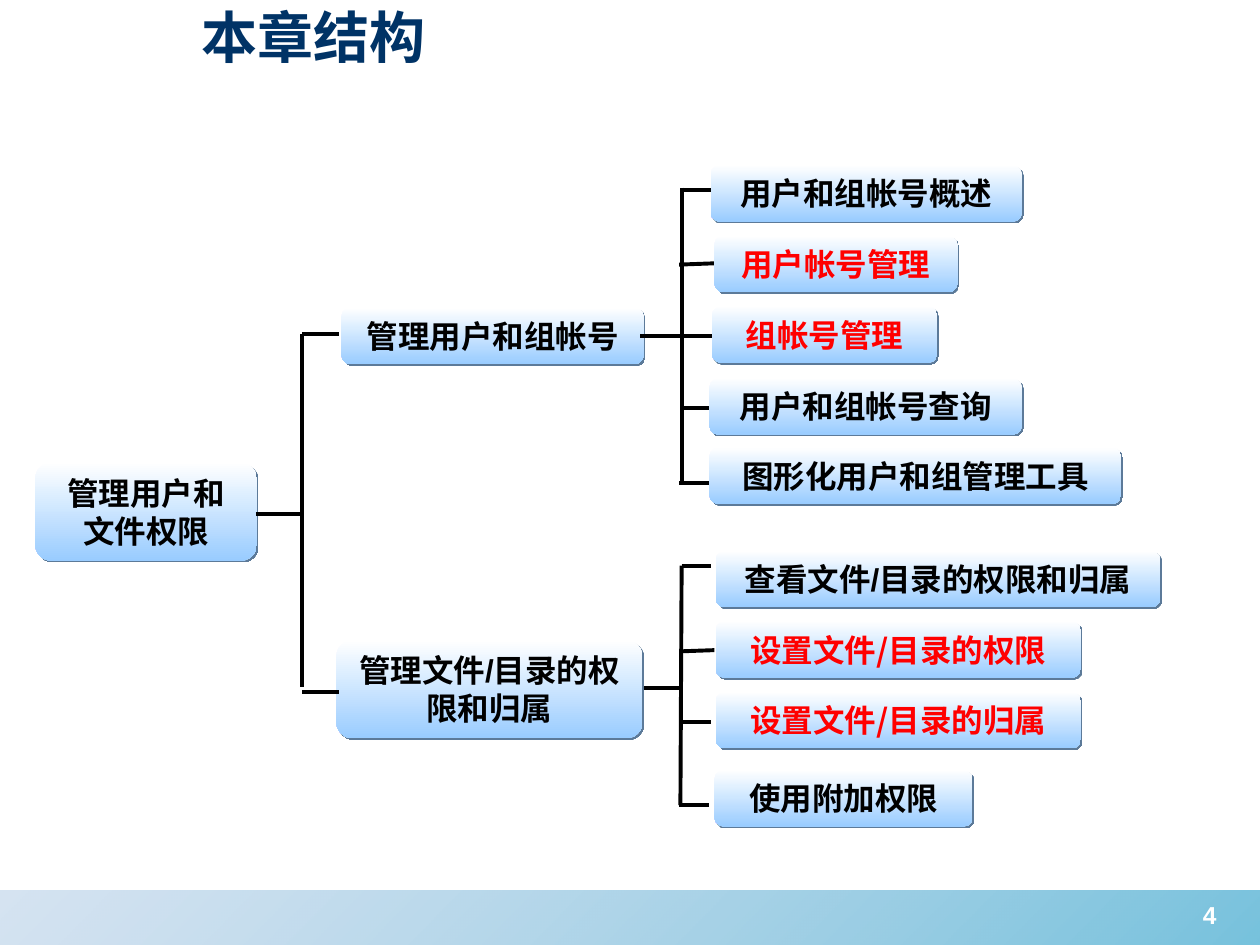
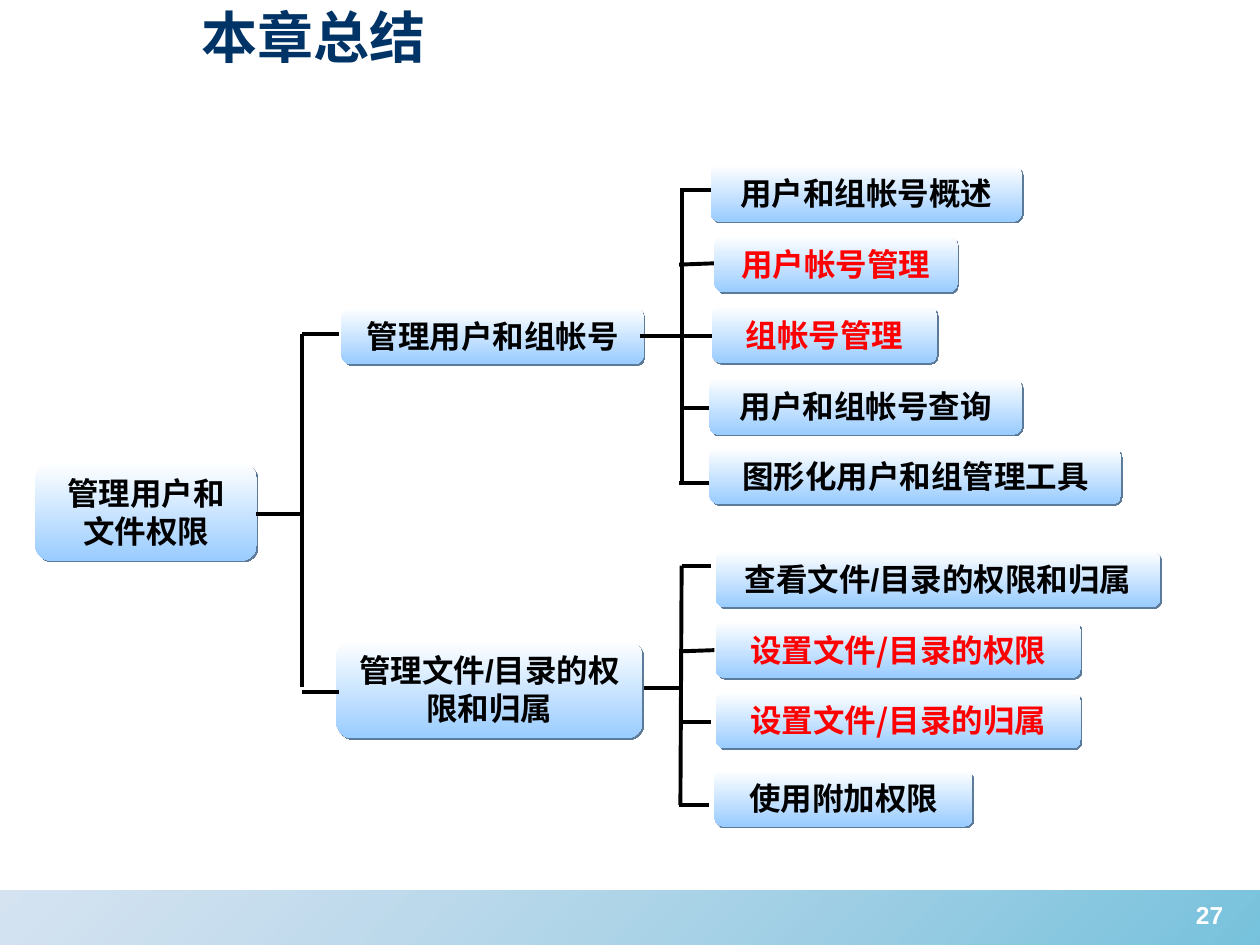
"""Build the chapter structure and chapter summary slides, which share one tree diagram."""
from dataclasses import dataclass

from lxml import etree
from pptx import Presentation
from pptx.dml.color import RGBColor
from pptx.enum.shapes import MSO_CONNECTOR, MSO_SHAPE
from pptx.enum.text import MSO_ANCHOR, MSO_AUTO_SIZE, PP_ALIGN
from pptx.oxml.ns import qn
from pptx.util import Inches, Pt

RECT, ROUNDED = MSO_SHAPE.RECTANGLE, MSO_SHAPE.ROUNDED_RECTANGLE
STRAIGHT = MSO_CONNECTOR.STRAIGHT
LEFT, CENTER = PP_ALIGN.LEFT, PP_ALIGN.CENTER
MIDDLE = MSO_ANCHOR.MIDDLE
GROW = MSO_AUTO_SIZE.SHAPE_TO_FIT_TEXT

COLORS = {
    "title": "003366", "text": "000000", "key": "FF0000", "page": "FFFFFF",
    "line": "000000", "shadow": "5C7A99",
    "box_top": "FFFFFF", "box_bottom": "99CCFF",
    "band_start": "88B0D8", "band_end": "1C99C6",
}
LATIN, CJK = "Arial", "Noto Sans CJK SC"
ONE_LINE, TWO_LINES = 0.45, 0.78


@dataclass(frozen=True)
class Node:
    text: str
    x: float
    y: float
    w: float
    h: float = ONE_LINE
    color: str = "text"
    font: str = LATIN


@dataclass(frozen=True)
class Link:
    x1: float
    y1: float
    x2: float
    y2: float


BRANCHES = [
    Node("管理用户和文件权限", 0.28, 3.67, 1.76, TWO_LINES),
    Node("管理用户和组帐号", 2.71, 2.44, 2.4),
    Node("管理文件/目录的权限和归属", 2.67, 5.08, 2.43, TWO_LINES),
]
LEAVES = [
    Node("用户和组帐号概述", 5.64, 1.31, 2.47),
    Node("用户帐号管理", 5.67, 1.87, 1.93, color="key"),
    Node("组帐号管理", 5.65, 2.43, 1.79, color="key"),
    Node("用户和组帐号查询", 5.63, 3, 2.48),
    Node("图形化用户和组管理工具", 5.63, 3.55, 3.27),
    Node("查看文件/目录的权限和归属", 5.68, 4.37, 3.53),
    Node("设置文件/目录的权限", 5.68, 4.93, 2.9, color="key", font=CJK),
    Node("设置文件/目录的归属", 5.68, 5.49, 2.9, color="key", font=CJK),
    Node("使用附加权限", 5.67, 6.11, 2.05, font=CJK),
]
SPINES = [
    Link(2.4, 2.65, 2.4, 5.45),
    Link(5.41, 1.49, 5.41, 3.83),
    Link(5.41, 4.49, 5.4, 6.39),
]
TICKS = [
    Link(2.03, 4.08, 2.4, 4.08),
    Link(2.4, 2.65, 2.69, 2.65),
    Link(2.4, 5.49, 2.69, 5.49),
    Link(5.42, 1.51, 5.65, 1.51),
    Link(5.39, 2.1, 5.67, 2.09),
    Link(5.08, 2.67, 5.68, 2.67),
    Link(5.43, 3.24, 5.71, 3.24),
    Link(5.39, 3.83, 5.67, 3.83),
    Link(5.41, 4.49, 5.64, 4.49),
    Link(5.39, 5.17, 5.67, 5.16),
    Link(5.11, 5.46, 5.39, 5.46),
    Link(5.4, 5.73, 5.64, 5.73),
    Link(5.39, 6.39, 5.63, 6.39),
]
SLIDES = [("本章结构", "4"), ("本章总结", "27")]


def rgb(name: str) -> RGBColor:
    """Look up a named colour."""
    return RGBColor.from_string(COLORS[name])


def write(tf, text: str, size: int, color: str, font: str = LATIN, align=CENTER) -> None:
    """Put one bold paragraph into a text frame."""
    tf.word_wrap = True
    p = tf.paragraphs[0]
    p.text = text
    p.alignment = align
    p.font.size = Pt(size)
    p.font.bold = True
    p.font.name = font
    p.font.color.rgb = rgb(color)


def add_gradient_shape(s, kind, box: tuple, start: str, end: str, angle: int):
    """Add an unlined shape with a two-colour gradient."""
    sp = s.shapes.add_shape(kind, *map(Inches, box))
    sp.shadow.inherit = False
    sp.line.fill.background()
    sp.fill.gradient()
    sp.fill.gradient_angle = angle
    for stop, name in zip(sp.fill.gradient_stops, (start, end)):
        stop.color.rgb = rgb(name)
    return sp


def add_band(s) -> None:
    """Draw the translucent footer band."""
    sp = add_gradient_shape(s, RECT, (0, 7.07, 10, 0.43), "band_start", "band_end", 315)
    for clr, alpha in zip(sp.fill._xPr.iter(qn("a:srgbClr")), (35000, 60000)):
        etree.SubElement(clr, qn("a:alpha"), val=str(alpha))


def add_page_number(s, number: str) -> None:
    """Write the page number on the band."""
    sp = s.shapes.add_textbox(Inches(9.24), Inches(7.09), Inches(0.72), Inches(0.52))
    write(sp.text_frame, number, 14, "page")


def add_title(s, text: str) -> None:
    """Place and format the title placeholder."""
    sp = s.shapes.title
    sp.left, sp.top, sp.width, sp.height = map(Inches, (1.5, -0.03, 8.07, 0.63))
    sp.text_frame.vertical_anchor = MIDDLE
    write(sp.text_frame, text, 32, "title", align=LEFT)


def add_node(s, node: Node) -> None:
    """Draw one rounded box of the tree with its hard shadow."""
    box = (node.x, node.y, node.w, node.h)
    sp = add_gradient_shape(s, ROUNDED, box, "box_top", "box_bottom", 270)
    effects = sp._element.spPr.find(qn("a:effectLst"))
    shadow = etree.SubElement(effects, qn("a:outerShdw"), blurRad="0", dist=str(Pt(1.4)),
                              dir="2700000", algn="ctr", rotWithShape="0")
    etree.SubElement(shadow, qn("a:srgbClr"), val=COLORS["shadow"])
    tf = sp.text_frame
    tf.vertical_anchor = MIDDLE
    tf.auto_size = GROW
    write(tf, node.text, 18, node.color, node.font)


def add_link(s, link: Link) -> None:
    """Draw one straight line of the tree."""
    ends = map(Inches, (link.x1, link.y1, link.x2, link.y2))
    cxn = s.shapes.add_connector(STRAIGHT, *ends)
    cxn.line.width = Pt(2.25)
    cxn.line.color.rgb = rgb("line")
    etree.SubElement(cxn._element.spPr, qn("a:effectLst"))


def add_tree(s) -> None:
    """Draw the branches, their lines and the leaves, back to front."""
    for node in BRANCHES:
        add_node(s, node)
    for link in SPINES + TICKS:
        add_link(s, link)
    for node in LEAVES:
        add_node(s, node)


def main() -> None:
    """Build and save the deck."""
    prs = Presentation()
    prs.slide_width, prs.slide_height = Inches(10), Inches(7.5)
    for title, number in SLIDES:
        s = prs.slides.add_slide(prs.slide_layouts[5])
        add_band(s)
        add_page_number(s, number)
        add_title(s, title)
        add_tree(s)
    prs.save("out.pptx")


if __name__ == "__main__":
    main()
